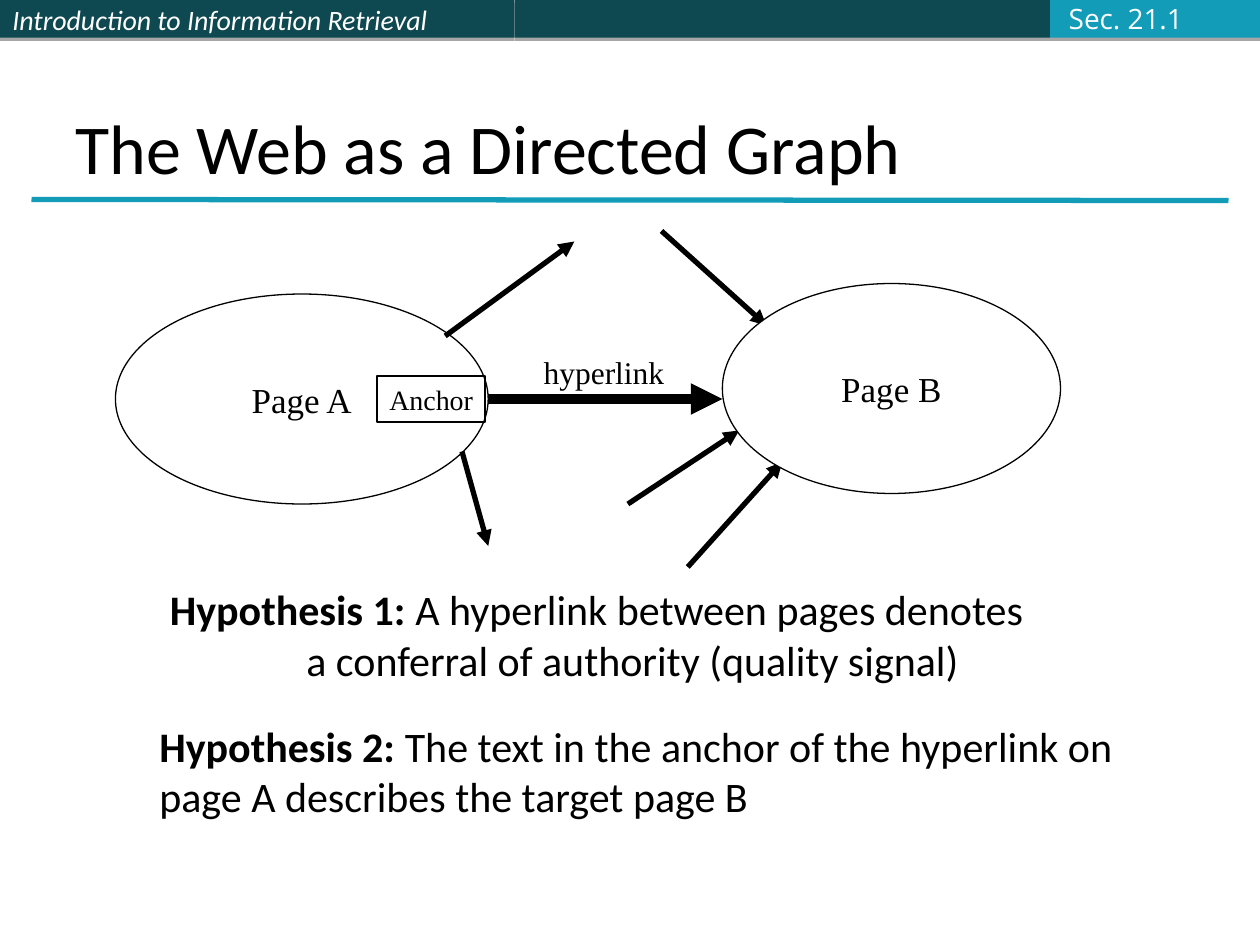
from dataclasses import dataclass

from lxml import etree
from pptx import Presentation, util as u
from pptx.dml.color import RGBColor
from pptx.enum import shapes, text
from pptx.oxml import ns

COLORS = {"dark": "0E4851", "teal": "139CB7", "black": "000000",
          "white": "FFFFFF", "pale": "FBFCFF"}
COLUMNS, ROWS = 120, 90

deck = Presentation()
deck.slide_width, deck.slide_height = u.Inches(10), u.Inches(7.5)
page = deck.slides.add_slide(deck.slide_layouts[5])


@dataclass
class Area:
    column: float
    row: float
    columns: float
    rows: float


@dataclass
class Style:
    size: float
    font: str
    color: str = "black"
    italic: bool = False


@dataclass
class Arrow:
    start: tuple[float, float]
    end: tuple[float, float]
    width: float = 3
    color: str = "black"
    head: bool = True


def across(columns: float) -> int:
    return round(deck.slide_width * columns / COLUMNS)


def down(rows: float) -> int:
    return round(deck.slide_height * rows / ROWS)


def bounds(area: Area) -> tuple[int, int, int, int]:
    return (across(area.column), down(area.row),
            across(area.columns), down(area.rows))


def rgb(name: str) -> RGBColor:
    return RGBColor.from_string(COLORS[name])


def format_text(box, style: Style, anchor=text.MSO_ANCHOR.TOP,
                align=text.PP_ALIGN.LEFT, wrap=True):
    frame = box.text_frame
    frame.auto_size = text.MSO_AUTO_SIZE.NONE
    frame.word_wrap = wrap
    frame.vertical_anchor = anchor
    for para in frame.paragraphs:
        para.alignment = align
        for span in para.runs:
            font = span.font
            font.size, font.name = u.Pt(style.size), style.font
            font.color.rgb, font.italic = rgb(style.color), style.italic


def add_shape(kind, area: Area, fill: str | None, line: str | None):
    shape = page.shapes.add_shape(kind, *bounds(area))
    shape.shadow.inherit = False
    if fill:
        shape.fill.solid()
        shape.fill.fore_color.rgb = rgb(fill)
    else:
        shape.fill.background()
    if line:
        shape.line.color.rgb = rgb(line)
        shape.line.width = u.Pt(0.75)
    else:
        shape.line.fill.background()
    return shape


def add_bar(area: Area, fill: str):
    """Header band with a thin soft edge cast straight below it."""
    bar = add_shape(shapes.MSO_SHAPE.RECTANGLE, area, fill, None)
    effects = bar._element.spPr.find(ns.qn("a:effectLst"))
    shadow = etree.SubElement(effects, ns.qn("a:outerShdw"), blurRad="0",
                              dist=str(u.Pt(1.8)), dir="5400000", rotWithShape="0")
    color = etree.SubElement(shadow, ns.qn("a:srgbClr"), val=COLORS["black"])
    etree.SubElement(color, ns.qn("a:alpha"), val="35000")
    return bar


def add_line(arrow: Arrow):
    line = page.shapes.add_connector(
        shapes.MSO_CONNECTOR.STRAIGHT,
        across(arrow.start[0]), down(arrow.start[1]),
        across(arrow.end[0]), down(arrow.end[1]))
    line.line.color.rgb = rgb(arrow.color)
    line.line.width = u.Pt(arrow.width)
    if arrow.head:
        etree.SubElement(line.line._get_or_add_ln(), ns.qn("a:tailEnd"), type="triangle")
    etree.SubElement(line._element.spPr, ns.qn("a:effectLst"))
    return line


def add_label(area: Area, words: str, style: Style, **layout):
    box = page.shapes.add_textbox(*bounds(area))
    box.text_frame.text = words
    format_text(box, style, **layout)
    return box


def add_hypothesis(area: Area, name: str, claim: str, hanging: float = 0):
    box = page.shapes.add_textbox(*bounds(area))
    para = box.text_frame.paragraphs[0]
    para.text = f"{name} {claim}"
    lead = para.runs[0]
    lead.text = lead.text.removeprefix(name)
    bold = para.add_run()
    bold.text, bold.font.bold = name, True
    lead._r.addprevious(bold._r)
    if hanging:
        properties = para._p.get_or_add_pPr()
        properties.set("marL", str(across(hanging)))
        properties.set("indent", str(-across(hanging)))
    format_text(box, Style(24, "Calibri"))


def add_page_node(area: Area, name: str):
    node = add_shape(shapes.MSO_SHAPE.OVAL, area, "white", "black")
    node.text_frame.text = name
    format_text(node, Style(20, "Times New Roman"), text.MSO_ANCHOR.MIDDLE,
                text.PP_ALIGN.CENTER, wrap=False)


def draw_header():
    course = add_bar(Area(0, 0, 49, 3.6), "dark")
    course.text_frame.text = "Introduction to Information Retrieval"
    format_text(course, Style(16, "Calibri", "white", italic=True), text.MSO_ANCHOR.MIDDLE)
    add_bar(Area(49, 0, 51, 3.6), "dark")
    add_bar(Area(100, 0, 20, 3.6), "teal")
    add_label(Area(100.6, -0.5, 13.3, 4.4), "Sec. 21.1", Style(16, "Open Sans", "pale"),
              anchor=text.MSO_ANCHOR.MIDDLE, wrap=False)
    add_line(Arrow((3, 19), (117, 19.1), color="teal", head=False))
    title = page.shapes.title
    title.left, title.top, title.width, title.height = bounds(Area(6, 3.6, 108, 15))
    title.text_frame.text = "The Web as a Directed Graph"
    format_text(title, Style(40, "Calibri"), text.MSO_ANCHOR.BOTTOM)


def draw_graph():
    hyperlink = add_line(Arrow((46.2, 38), (68.8, 38), width=6))
    add_page_node(Area(11, 28, 35.5, 20), "Page A")
    add_label(Area(50.6, 33, 13.9, 4.8), "hyperlink", Style(18, "Times New Roman"), wrap=False)
    for arrow in (Arrow((44, 43), (46.5, 52)),
                  Arrow((42.4, 32), (54.7, 23)),
                  Arrow((59.8, 48), (70.4, 41)),
                  Arrow((65.5, 54), (74.5, 44)),
                  Arrow((63, 22), (73, 31))):
        add_line(arrow)
    add_page_node(Area(68.8, 27, 32.2, 20), "Page B")
    anchor = add_shape(shapes.MSO_SHAPE.RECTANGLE, Area(35.9, 35.8, 10.3, 4.4), None, "black")
    anchor.text_frame.text = "Anchor"
    format_text(anchor, Style(16, "Times New Roman"), wrap=False)
    hyperlink.begin_connect(anchor, 3)


draw_header()
add_hypothesis(Area(15, 55, 97, 10.8), "Hypothesis 1:",
               "A hyperlink between pages denotes\va conferral of authority (quality signal)",
               hanging=13)
add_hypothesis(Area(14, 68, 101, 10.8), "Hypothesis 2:",
               "The text in the anchor of the hyperlink on page A describes the target page B")
draw_graph()
deck.save("out.pptx")
